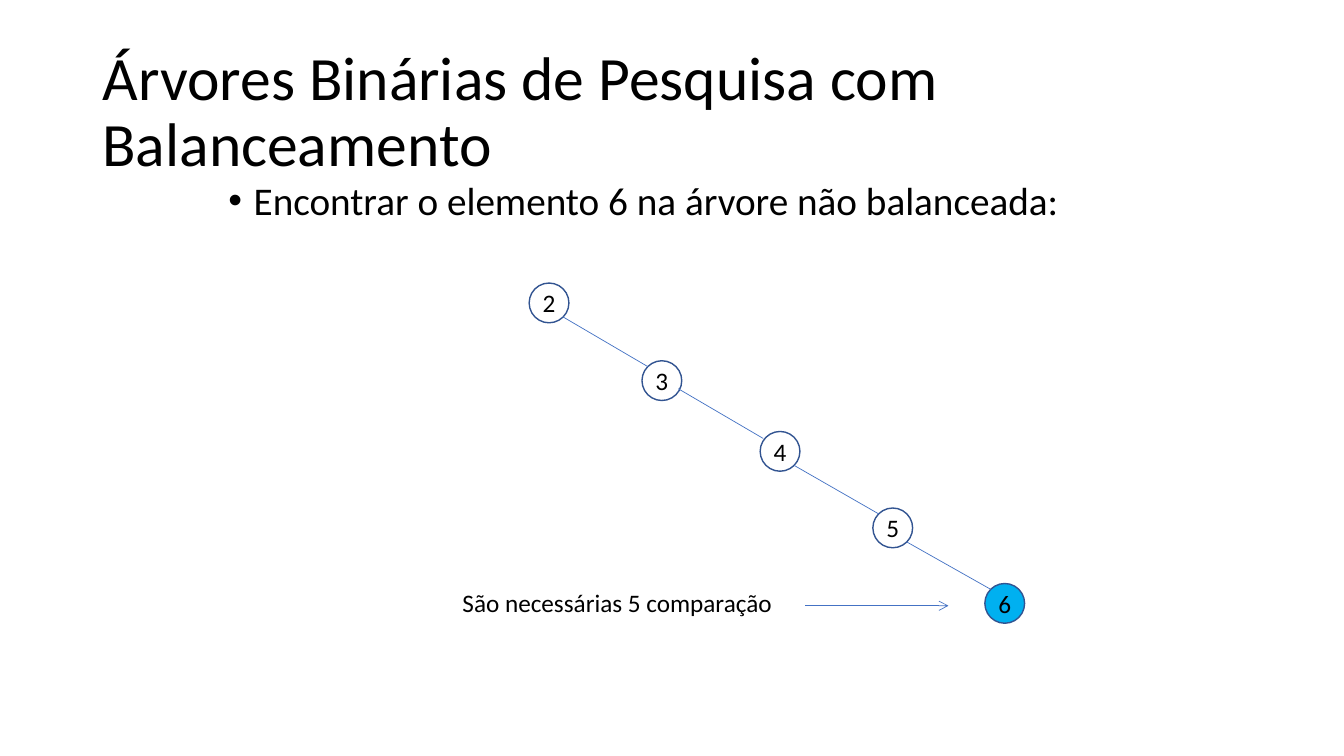
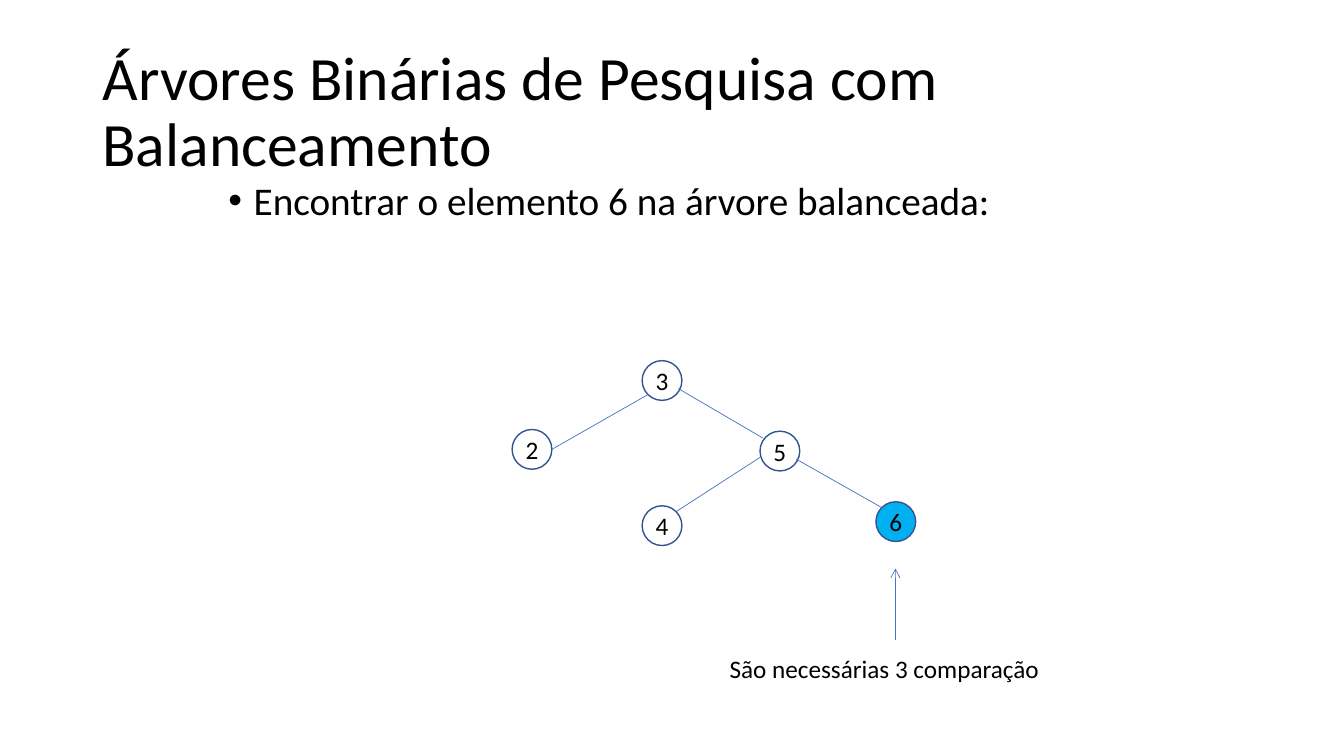
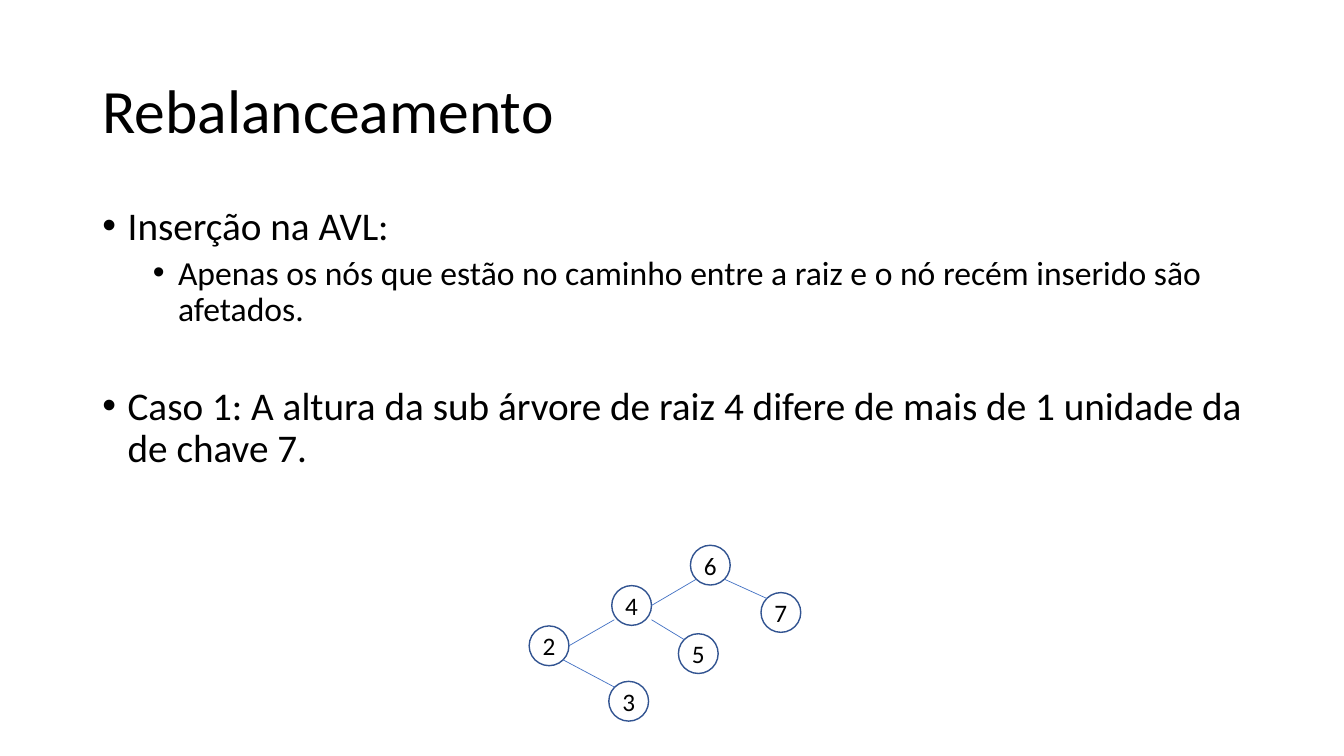
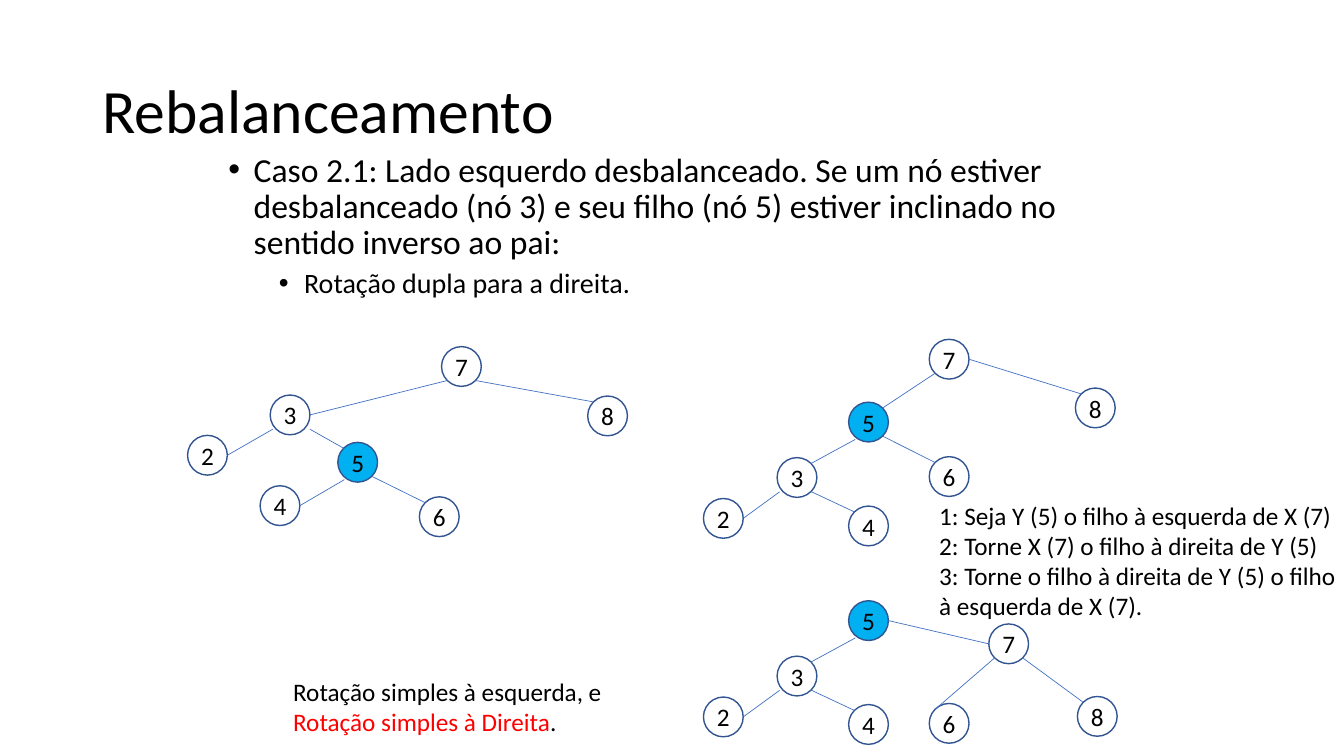
"""Builds four slides on balanced binary search trees and AVL rebalancing."""
from lxml import etree
from pptx import Presentation
from pptx.dml.color import RGBColor
from pptx.enum.shapes import MSO_CONNECTOR as CONN, MSO_SHAPE as SHAPE
from pptx.enum.text import MSO_ANCHOR as ANCHOR, MSO_AUTO_SIZE as FIT, PP_ALIGN as ALIGN
from pptx.oxml.ns import qn
from pptx.util import Pt

COLORS = {"text": "000000", "edge": "4472C4", "outline": "325491",
          "found": "00B0F0", "accent": "FF0000"}
FONT = "Calibri"
NODE = 28.4
TITLE_BOX = (66, 28.8, 828, 104.4)
SEARCH_TITLE = "Árvores Binárias de Pesquisa com Balanceamento"
REBALANCE_TITLE = "Rebalanceamento"

ANCHORS = {
    "tl": (4.2, 4.2), "tr": (24.2, 4.2), "bl": (4.2, 24.2), "br": (24.2, 24.2),
    "l": (0, 14.2), "r": (NODE, 14.2),
    "l_high": (2.2, 5), "l_low": (0, 18.7), "r_low": (25.9, 20),
    "bl_out": (1.8, 24.4), "br_out": (NODE, 24.4), "bl_low": (4.7, 26.6),
}

LEFT_NODES = {5: (0, 0), 3: (-51.1, 39.6), 2: (-103.7, 68.8), 4: (0, 74.2)}
LEFT_EDGES = [(2, "r", 3, "bl_out"), (3, "tr", 5, "bl_low"), (3, "br", 4, "tl")]


def rgb(name):
    """Return the colour of the given name."""
    return RGBColor.from_string(COLORS[name])


def place(sp, box):
    """Move a shape to a box given in points."""
    sp.left, sp.top, sp.width, sp.height = (Pt(v) for v in box)


def add_run(p, text, size, color="text"):
    """Add one formatted run to a paragraph."""
    r = p.add_run()
    r.text = text
    r.font.name, r.font.size = FONT, Pt(size)
    r.font.color.rgb = rgb(color)


def add_bullet(p, level):
    """Give a paragraph its bullet and hanging indent."""
    pPr = p._p.get_or_add_pPr()
    pPr.set("marL", str(Pt(18 + 36 * level)))
    pPr.set("indent", str(-Pt(18)))
    etree.SubElement(pPr, qn("a:buFont")).set("typeface", "Arial")
    etree.SubElement(pPr, qn("a:buChar")).set("char", "•")


def add_line(slide, start, end, arrow=False):
    """Draw a thin line, with an arrowhead at its end if wanted."""
    sp = slide.shapes.add_connector(CONN.STRAIGHT, *(Pt(v) for v in (*start, *end)))
    sp.line.color.rgb = rgb("edge")
    sp.line.width = Pt(0.5)
    if arrow:
        etree.SubElement(sp.line._get_or_add_ln(), qn("a:tailEnd")).set("type", "arrow")
    etree.SubElement(sp._element.spPr, qn("a:effectLst"))


def add_node(slide, key, x, y, found):
    """Draw one tree node with its key."""
    sp = slide.shapes.add_shape(SHAPE.OVAL, Pt(x), Pt(y), Pt(NODE), Pt(NODE))
    sp.shadow.inherit = False
    if found:
        sp.fill.solid()
        sp.fill.fore_color.rgb = rgb("found")
    else:
        sp.fill.background()
    sp.line.color.rgb = rgb("outline")
    sp.line.width = Pt(1)
    tf = sp.text_frame
    tf.word_wrap = False
    tf.margin_left = tf.margin_right = tf.margin_top = tf.margin_bottom = 0
    tf.vertical_anchor = ANCHOR.MIDDLE
    p = tf.paragraphs[0]
    p.alignment = ALIGN.CENTER
    add_run(p, str(key), 18)


def add_tree(slide, origin, nodes, edges, found=None):
    """Draw a tree whose nodes are placed relative to an origin."""
    spots = {key: (origin[0] + dx, origin[1] + dy) for key, (dx, dy) in nodes.items()}
    for key, (x, y) in spots.items():
        add_node(slide, key, x, y, key == found)
    for a, a_side, b, b_side in edges:
        start, end = (tuple(map(sum, zip(spots[key], ANCHORS[side])))
                      for key, side in ((a, a_side), (b, b_side)))
        add_line(slide, start, end)


def add_note(slide, box, lines, wrap=False):
    """Add a text box; each line is a list of (text, colour) runs."""
    sp = slide.shapes.add_textbox(*(Pt(v) for v in box))
    tf = sp.text_frame
    tf.word_wrap = wrap
    for i, runs in enumerate(lines):
        p = tf.add_paragraph() if i else tf.paragraphs[0]
        for text, color in runs:
            add_run(p, text, 18, color)


def add_slide(prs, title, body_box, items):
    """Add a slide with title and list; items are (level, size, space before, text)."""
    slide = prs.slides.add_slide(prs.slide_layouts[1])
    head, body = slide.shapes.title, slide.placeholders[1]
    for sp, box, anchor in ((head, TITLE_BOX, ANCHOR.MIDDLE), (body, body_box, ANCHOR.TOP)):
        place(sp, box)
        sp.text_frame.word_wrap = True
        sp.text_frame.auto_size = FIT.NONE
        sp.text_frame.vertical_anchor = anchor
    p = head.text_frame.paragraphs[0]
    p.alignment, p.line_spacing = ALIGN.LEFT, 0.9
    add_run(p, title, 44)
    tf = body.text_frame
    for i, (level, size, before, text) in enumerate(items):
        p = tf.add_paragraph() if i else tf.paragraphs[0]
        add_bullet(p, level)
        p.level, p.line_spacing, p.space_before = level, 0.9, Pt(before)
        add_run(p, text, size)
    return slide


def unbalanced_search(prs):
    """Build the search in the unbalanced tree."""
    slide = add_slide(prs, SEARCH_TITLE, (156, 126, 648, 64.8),
                      [(0, 28, 0, "Encontrar o elemento 6 na árvore não balanceada:")])
    add_tree(slide, (378, 202.2),
             {2: (0, 0), 3: (80.6, 55.5), 4: (165, 106), 5: (245.5, 160.7), 6: (325.5, 214.6)},
             [(2, "br", 3, "tl"), (3, "r_low", 4, "l_high"),
              (4, "br", 5, "tl"), (5, "br", 6, "tl")], found=6)
    add_note(slide, (323.3, 416.2, 237.6, 28.8), [[("São necessárias 5 comparação", "text")]])
    add_line(slide, (575.3, 432.7), (677.5, 432.7), arrow=True)


def balanced_search(prs):
    """Build the search in the balanced tree."""
    slide = add_slide(prs, SEARCH_TITLE, (156, 126, 648, 64.8),
                      [(0, 28, 0, "Encontrar o elemento 6 na árvore balanceada:")])
    add_tree(slide, (365.8, 257.6),
             {3: (92.9, 0), 2: (0, 49.2), 5: (177.1, 50.4), 4: (92.9, 103.7), 6: (259.9, 100.8)},
             [(2, "r", 3, "bl"), (3, "r_low", 5, "l_high"),
              (5, "l_low", 4, "tr"), (5, "r_low", 6, "tl")], found=6)
    add_note(slide, (514.1, 463, 237.6, 28.8), [[("São necessárias 3 comparação", "text")]])
    add_line(slide, (639.6, 457.2), (639.6, 406.1), arrow=True)


def avl_insertion(prs):
    """Build the insertion rule with the first case."""
    slide = add_slide(prs, REBALANCE_TITLE, (66, 144, 828, 342.7), [
        (0, 28, 0, "Inserção na AVL:"),
        (1, 24, 5, "Apenas os nós que estão no caminho entre a raiz e o nó recém "
                   "inserido são afetados."),
        (0, 28, 41.4, "Caso 1: A altura da sub árvore de raiz 4 difere de mais de "
                      "1 unidade da de chave 7.")])
    add_tree(slide, (378, 389.5),
             {6: (115.2, 0), 4: (59, 28.8), 2: (0, 57.6), 7: (165.6, 33.8),
              5: (106.6, 63.2), 3: (56.9, 97.2)},
             [(4, "r", 6, "bl"), (6, "br", 7, "tl"), (2, "r", 4, "bl_out"),
              (4, "br_out", 5, "tl"), (2, "br", 3, "tl")])


def double_rotation(prs):
    """Build the double rotation with its three trees."""
    slide = add_slide(prs, REBALANCE_TITLE, (156, 105.8, 648, 172.1), [
        (0, 24, 0, "Caso 2.1: Lado esquerdo desbalanceado. Se um nó estiver desbalanceado "
                   "(nó 3) e seu ﬁlho (nó 5) estiver inclinado no sentido inverso ao pai:"),
        (1, 20, 5, "Rotação dupla para a direita.")])
    add_tree(slide, (134, 247.6),
             {7: (181.4, 0), 3: (59, 34.6), 8: (285.8, 35.3), 2: (0, 63.4),
              5: (107.3, 68.4), 6: (165.6, 107.3), 4: (51.8, 99.4)},
             [(3, "r", 7, "bl"), (7, "br", 8, "tl"), (2, "r", 3, "bl_out"),
              (3, "br_out", 5, "tl"), (5, "br", 6, "tl"), (4, "r", 5, "bl_low")], found=5)
    add_tree(slide, (606.2, 287.3),
             {**LEFT_NODES, 7: (57.6, -44.9), 8: (162, -10.1), 6: (57.6, 38.9)},
             LEFT_EDGES + [(7, "r", 8, "tl"), (5, "br", 6, "tl"), (5, "tr", 7, "bl")], found=5)
    add_tree(slide, (606.2, 429.1),
             {**LEFT_NODES, 7: (100.1, 16.6), 8: (163.4, 68.4), 6: (57.6, 73.4)},
             LEFT_EDGES + [(7, "br", 8, "tl"), (7, "bl", 6, "tl"), (5, "r", 7, "l")], found=5)
    add_note(slide, (202.3, 479.5, 241.9, 51.1), [
        [("Rotação simples à esquerda, e", "text")],
        [("Rotação simples à Direita", "accent"), (".", "text")]])
    steps = ("1: Seja Y (5) o ﬁlho à esquerda de X (7)",
             "2: Torne X (7) o ﬁlho à direita de Y (5)",
             "3: Torne o ﬁlho à direita de Y (5) o ﬁlho à esquerda de X (7).")
    add_note(slide, (663.8, 353.5, 298.8, 94.3), [[(step, "text")] for step in steps], wrap=True)


def main():
    """Build the presentation and save it."""
    prs = Presentation()
    prs.slide_width, prs.slide_height = Pt(960), Pt(540)
    for build in (unbalanced_search, balanced_search, avl_insertion, double_rotation):
        build(prs)
    prs.save("out.pptx")


if __name__ == "__main__":
    main()
